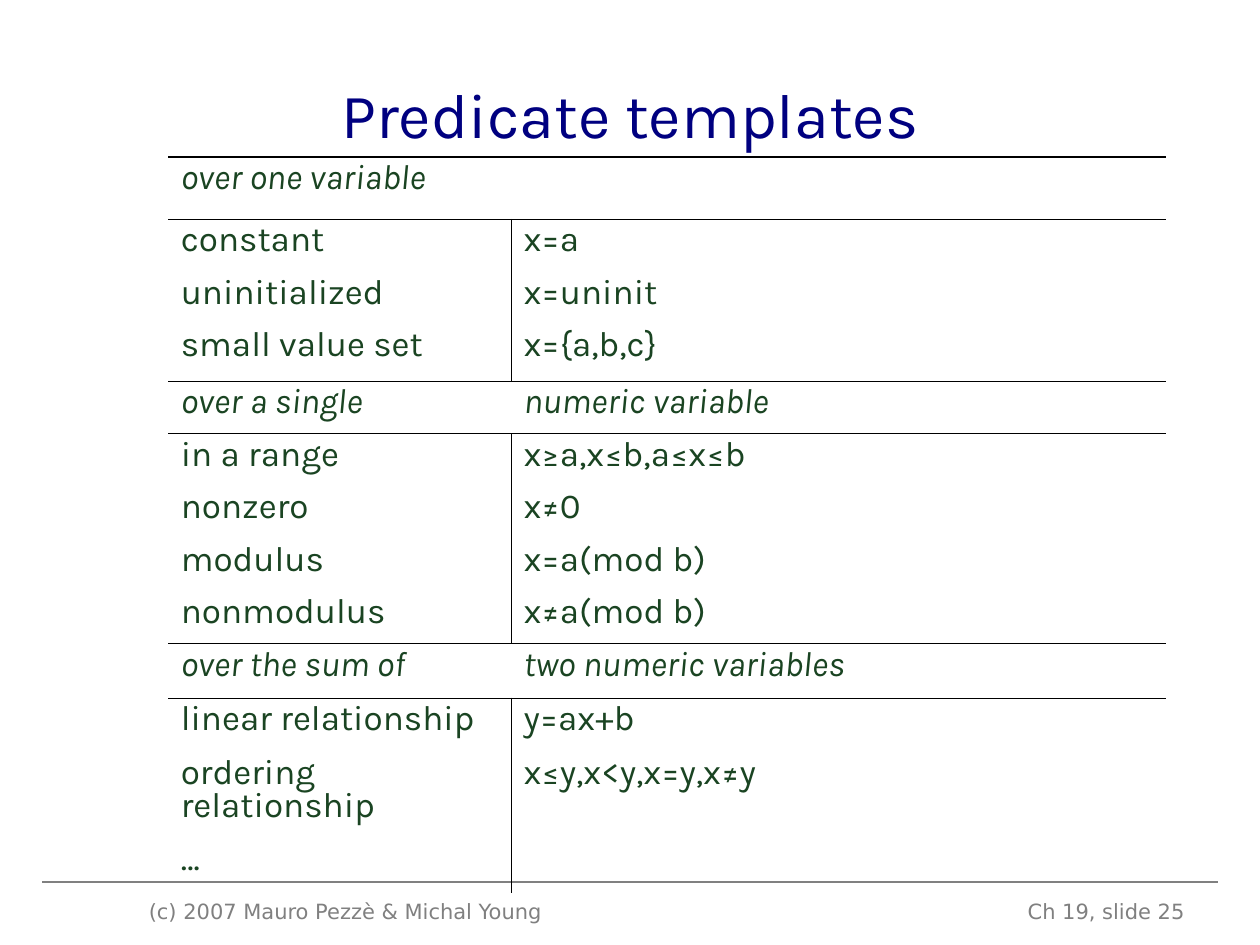
from lxml import etree
from pptx import Presentation
from pptx.dml.color import RGBColor
from pptx.enum.shapes import MSO_CONNECTOR
from pptx.enum.text import MSO_ANCHOR, PP_ALIGN
from pptx.oxml.ns import qn
from pptx.util import Cm, Pt

STRAIGHT = MSO_CONNECTOR.STRAIGHT
TOP, MIDDLE = MSO_ANCHOR.TOP, MSO_ANCHOR.MIDDLE
LEFT, CENTER, RIGHT = PP_ALIGN.LEFT, PP_ALIGN.CENTER, PP_ALIGN.RIGHT

TITLE = {"name": "Karla", "size": Pt(36), "color": "000080"}
BODY = {"name": "Karla", "size": Pt(20), "color": "1A4422", "italic": False}
HEADING = {**BODY, "italic": True}
FOOTER = {"name": "DejaVu Sans", "size": Pt(12), "color": "808080"}

THIN, THICK = 0.45, 1.08
COLUMNS = [6.91, 13.21]
GROUPS = [
    (("over one variable", "", 1.25), [
        ("constant", "x=a", 1.06),
        ("uninitialized", "x=uninit", 1.06),
        ("small value set", "x={a,b,c}", 1.14),
    ]),
    (("over a single", "numeric variable", 1.06), [
        ("in a range", "x≥a,x≤b,a≤x≤b", 1.06),
        ("nonzero", "x≠0", 1.06),
        ("modulus", "x=a(mod b)", 1.06),
        ("nonmodulus", "x≠a(mod b)", 1.06),
    ]),
    (("over the sum of", "two numeric variables", 1.09), [
        ("linear relationship", "y=ax+b", 1.09),
        ("ordering relationship", "x≤y,x<y,x=y,x≠y", 1.73),
        ("…", "", 1.12),
    ]),
]


def rgb(color):
    """Turn a hex string into a colour."""
    return RGBColor.from_string(color)


def write(p, text, style):
    """Add one formatted run to a paragraph."""
    r = p.add_run()
    r.text = text
    for key, value in style.items():
        if key == "color":
            r.font.color.rgb = rgb(value)
        else:
            setattr(r.font, key, value)


def add_text(s, box, text, style, align=LEFT, anchor=TOP):
    """Add a wrapped text box; box is left, top, width, height in cm."""
    tf = s.shapes.add_textbox(*map(Cm, box)).text_frame
    tf.word_wrap = True
    tf.vertical_anchor = anchor
    p = tf.paragraphs[0]
    p.alignment = align
    write(p, text, style)


def add_rule(s, x1, x2, y, color, width):
    """Add a horizontal line without shadow."""
    line = s.shapes.add_connector(STRAIGHT, Cm(x1), Cm(y), Cm(x2), Cm(y))
    line.line.color.rgb = rgb(color)
    line.line.width = Pt(width)
    etree.SubElement(line._element.spPr, qn("a:effectLst"))


def set_borders(cell, widths):
    """Draw the sides named in widths in black and clear the others."""
    props = cell._tc.get_or_add_tcPr()
    for i, side in enumerate("LRTB"):
        ln = etree.Element(qn(f"a:ln{side}"))
        if side in widths:
            ln.set("w", str(Pt(widths[side])))
            fill = etree.SubElement(ln, qn("a:solidFill"))
            etree.SubElement(fill, qn("a:srgbClr"), val="000000")
        else:
            etree.SubElement(ln, qn("a:noFill"))
        props.insert(i, ln)


def fill_cell(cell, text, style, borders):
    """Write and frame one table cell."""
    cell.fill.background()
    p = cell.text_frame.paragraphs[0]
    p.line_spacing = 0.8
    if text:
        write(p, text, style)
    set_borders(cell, borders)


def add_template_table(s, left, top):
    """Add the table of predicate templates, group by group."""
    rows = []
    for g, (heading, entries) in enumerate(GROUPS):
        edges = {"T": THIN if g else THICK, "B": THIN}
        rows.append((heading, HEADING, [edges, edges]))
        for i, entry in enumerate(entries):
            edges = {} if i else {"T": THIN}
            if i == len(entries) - 1 and g < len(GROUPS) - 1:
                edges = {"B": THIN}
            rows.append((entry, BODY, [{**edges, "R": THIN}, {**edges, "L": THIN}]))

    height = sum(row[0][2] for row in rows)
    frame = s.shapes.add_table(len(rows), len(COLUMNS), Cm(left), Cm(top),
                               Cm(sum(COLUMNS)), Cm(height))
    table = frame.table
    table.first_row = table.horz_banding = False
    for column, width in zip(table.columns, COLUMNS):
        column.width = Cm(width)
    for i, ((name, formula, row_height), style, borders) in enumerate(rows):
        table.rows[i].height = Cm(row_height)
        for j, text in enumerate((name, formula)):
            fill_cell(table.cell(i, j), text, style, borders[j])


def main():
    """Build and save the slide."""
    prs = Presentation()
    prs.slide_width, prs.slide_height = Cm(25.4), Cm(19.05)
    s = prs.slides.add_slide(prs.slide_layouts[6])
    add_rule(s, 0.85, 24.55, 17.78, "808080", 0.75)
    add_text(s, (2.75, 17.99, 8.89, 0.69), "(c) 2007 Mauro Pezzè & Michal Young", FOOTER)
    add_text(s, (18.2, 17.99, 5.93, 0.69), "Ch 19, slide 25", FOOTER, RIGHT)
    add_text(s, (1.27, 0.76, 22.86, 3.05), "Predicate templates", TITLE, CENTER, MIDDLE)
    add_template_table(s, 3.39, 3.17)
    prs.save("out.pptx")


if __name__ == "__main__":
    main()
